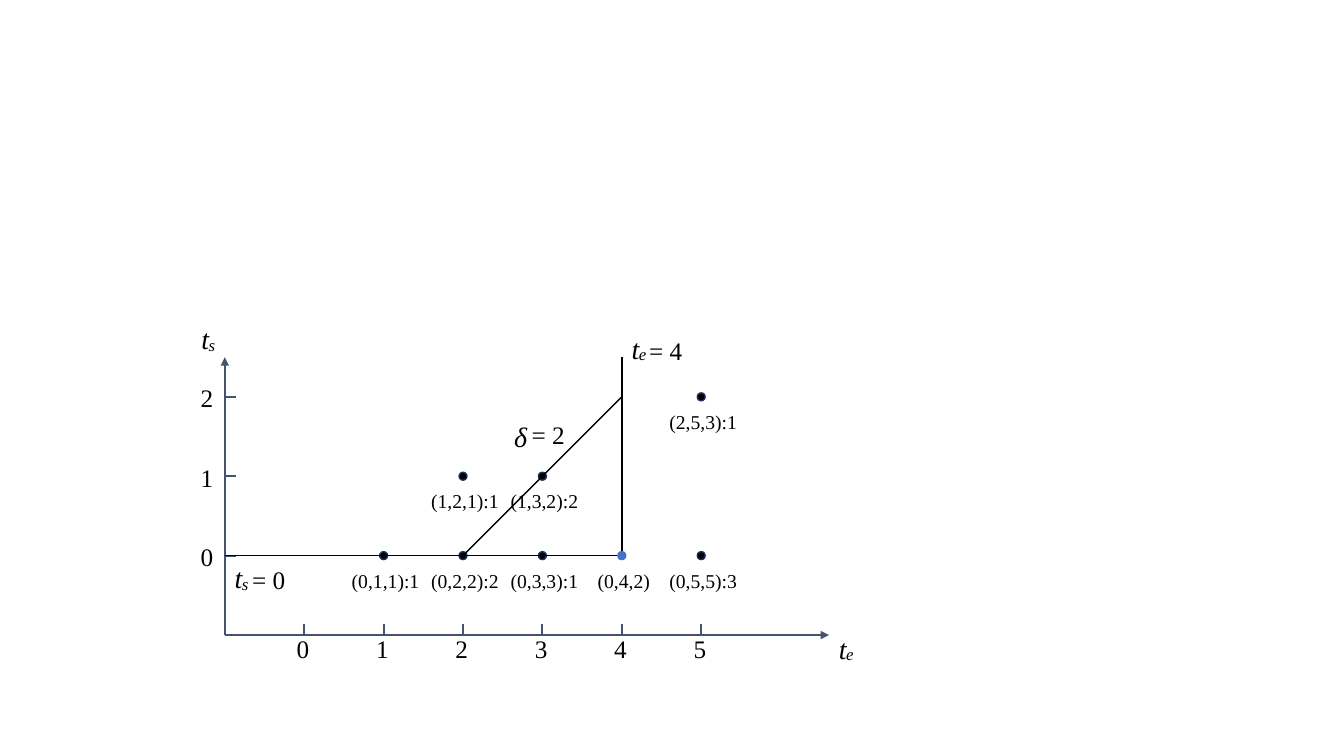
from dataclasses import dataclass

from pptx import Presentation
from pptx.dml.color import RGBColor as Rgb
from pptx.enum.shapes import MSO_CONNECTOR as Join, MSO_SHAPE as Form
from pptx.enum.text import MSO_AUTO_SIZE as Fit, PP_ALIGN as Align
from pptx.oxml.ns import qn
from pptx.oxml.xmlchemy import OxmlElement as Node
from pptx.shapes.shapetree import GroupShapes, SlideShapes
from pptx.util import Inches, Pt


@dataclass(frozen=True)
class Theme:
    font: str = "Times New Roman"
    ink: str = "000000"
    axis: str = "44546A"
    rim: str = "1E3256"
    mark: str = "4472C4"
    stem: int = 20
    main: int = 18
    note: int = 14
    sub: int = 12
    thick: float = 1.5
    thin: float = 1


@dataclass(frozen=True)
class Event:
    te: int
    ts: int
    text: str


@dataclass(frozen=True)
class Line:
    start: tuple[float, float]
    end: tuple[float, float]
    arrow: bool = False


@dataclass(frozen=True)
class Symbol:
    te: float
    ts: float
    stem: str
    sub: str = ""
    value: str = ""
    drop: float = 0.05


THEME = Theme()
UNIT = 3.15 / 4
LEFT, BASE = 2.23, 6.3  # the axes cross at (-1, -1)
TICK = 0.14
DOT = 0.1

EVENTS = [
    Event(1, 0, "(0,1,1):1"),
    Event(2, 0, "(0,2,2):2"),
    Event(3, 0, "(0,3,3):1"),
    Event(5, 0, "(0,5,5):3"),
    Event(2, 1, "(1,2,1):1"),
    Event(3, 1, "(1,3,2):2"),
    Event(5, 2, "(2,5,3):1"),
]
QUERY = Event(4, 0, "(0,4,2)")
AXES = [
    Line((-1, -1), (6.61, -1), True),
    Line((-1, -1), (-1, 2.5), True),
]
BOUNDS = [
    Line((4, 2.5), (4, 0)),
    Line((-1, 0), (4, 0)),
    Line((4, 2), (2, 0)),
]
SYMBOLS = [
    Symbol(6.61, -0.89, "t", "e"),
    Symbol(-1.42, 3.01, "t", "s"),
    Symbol(-1, 0, "t", "s", "= 0"),
    Symbol(4, 2.89, "t", "e", "= 4"),
    Symbol(2.52, 1.78, "δ", "", "= 2", 0),
]


def col(te: float) -> int:
    return Inches(LEFT + (te + 1) * UNIT)


def row(ts: float) -> int:
    return Inches(BASE - (ts + 1) * UNIT)


def span(units: float) -> int:
    return Inches(units * UNIT)


def put_text(shapes: SlideShapes | GroupShapes, text: str, te: float, ts: float,
             wide: float, high: float, size: int, slant: bool = False,
             align: Align = Align.LEFT) -> None:
    box = shapes.add_textbox(col(te), row(ts), span(wide), span(high))
    frame = box.text_frame
    frame.word_wrap = False
    frame.auto_size = Fit.SHAPE_TO_FIT_TEXT
    para = frame.paragraphs[0]
    para.alignment = align
    run = para.add_run()
    run.text = text
    style = {"name": THEME.font, "size": Pt(size), "italic": slant}
    for key, value in style.items():
        setattr(run.font, key, value)
    run.font.color.rgb = Rgb.from_string(THEME.ink)


def put_line(shapes: SlideShapes, line: Line, tint: str, width: float) -> None:
    (te1, ts1), (te2, ts2) = line.start, line.end
    link = shapes.add_connector(Join.STRAIGHT, col(te1), row(ts1), col(te2), row(ts2))
    link.line.color.rgb = Rgb.from_string(tint)
    link.line.width = Pt(width)
    props = link._element.spPr
    if line.arrow:
        tip = Node("a:tailEnd")
        tip.set("type", "triangle")
        props.find(qn("a:ln")).append(tip)
    props.append(Node("a:effectLst"))


def put_event(shapes: SlideShapes, event: Event, fill: str, rim: str) -> None:
    dot = shapes.add_shape(Form.OVAL, col(event.te - DOT / 2), row(event.ts + DOT / 2),
                           span(DOT), span(DOT))
    dot.shadow.inherit = False
    dot.fill.solid()
    dot.fill.fore_color.rgb = Rgb.from_string(fill)
    dot.line.color.rgb = Rgb.from_string(rim)
    dot.line.width = Pt(THEME.thin)
    put_text(shapes, event.text, event.te - 0.71, event.ts - 0.1, 1.47, 0.43,
             THEME.note, align=Align.CENTER)


def put_symbol(shapes: SlideShapes, sign: Symbol) -> None:
    """Group a slanted stem with its subscript and value, where it has them."""
    group = shapes.add_group_shape().shapes
    put_text(group, sign.stem, sign.te, sign.ts, 0.34, 0.56, THEME.stem, True)
    if sign.sub:
        put_text(group, sign.sub, sign.te + 0.09, sign.ts - 0.16, 0.34, 0.38,
                 THEME.sub, True)
    if sign.value:
        put_text(group, sign.value, sign.te + 0.22, sign.ts - sign.drop, 0.75, 0.51,
                 THEME.main)


def put_scales(shapes: SlideShapes) -> None:
    for te in range(6):
        put_line(shapes, Line((te, -1), (te, TICK - 1)), THEME.axis, THEME.thick)
        put_text(shapes, str(te), te - 0.22, -0.92, 0.44, 0.51, THEME.main)
    for ts in range(3):
        put_line(shapes, Line((TICK - 1, ts), (-1, ts)), THEME.axis, THEME.thick)
        put_text(shapes, str(ts), -1.43, ts + 0.24, 0.44, 0.51, THEME.main)


def main() -> None:
    deck = Presentation()
    deck.slide_width, deck.slide_height = Inches(13.33), Inches(7.5)
    shapes = deck.slides.add_slide(deck.slide_layouts[6]).shapes
    for event in EVENTS:
        put_event(shapes, event, THEME.ink, THEME.rim)
    for axis in AXES:
        put_line(shapes, axis, THEME.axis, THEME.thick)
    put_scales(shapes)
    for bound in BOUNDS:
        put_line(shapes, bound, THEME.ink, THEME.thin)
    put_event(shapes, QUERY, THEME.mark, THEME.mark)
    for sign in SYMBOLS:
        put_symbol(shapes, sign)
    deck.save("out.pptx")


if __name__ == "__main__":
    main()
